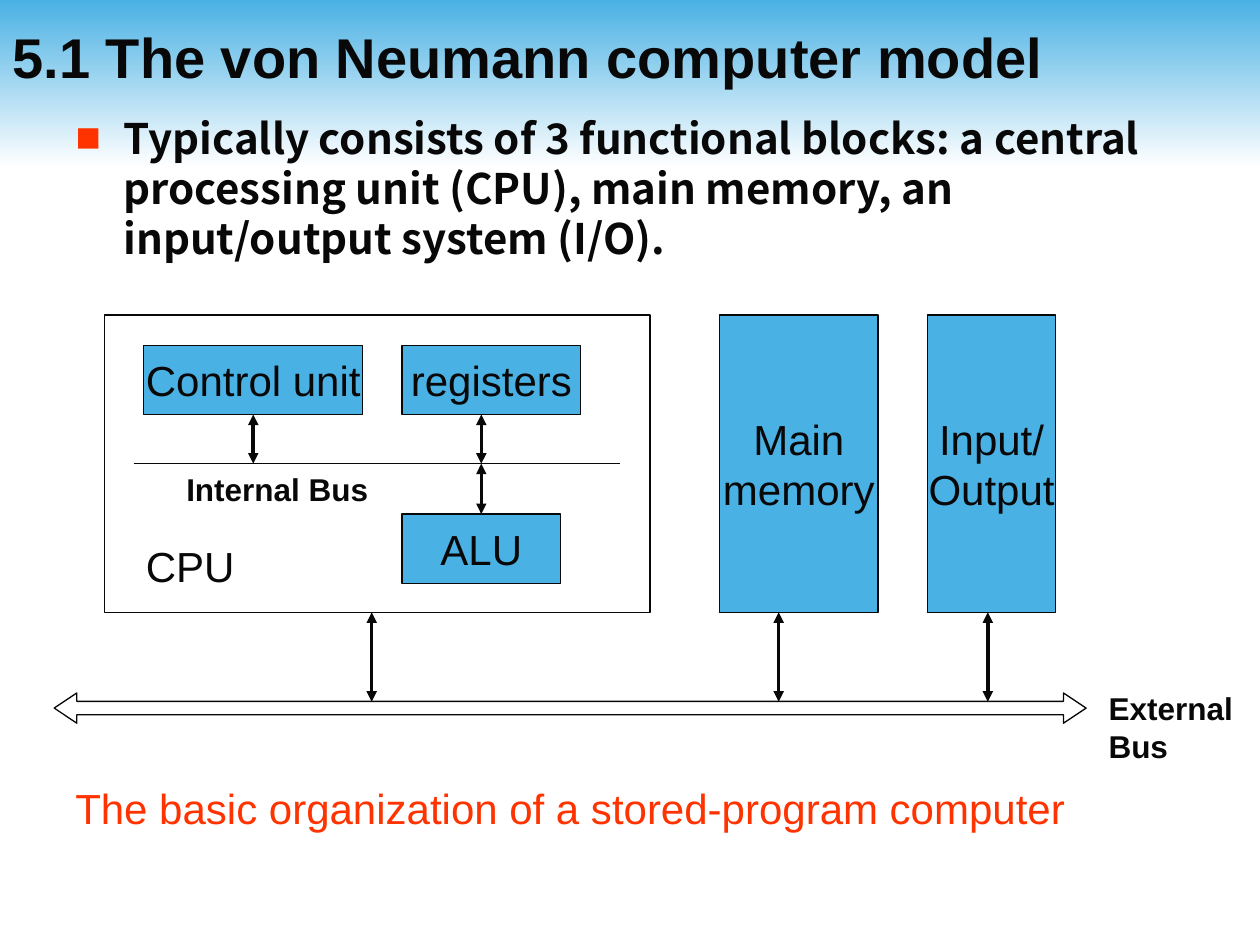
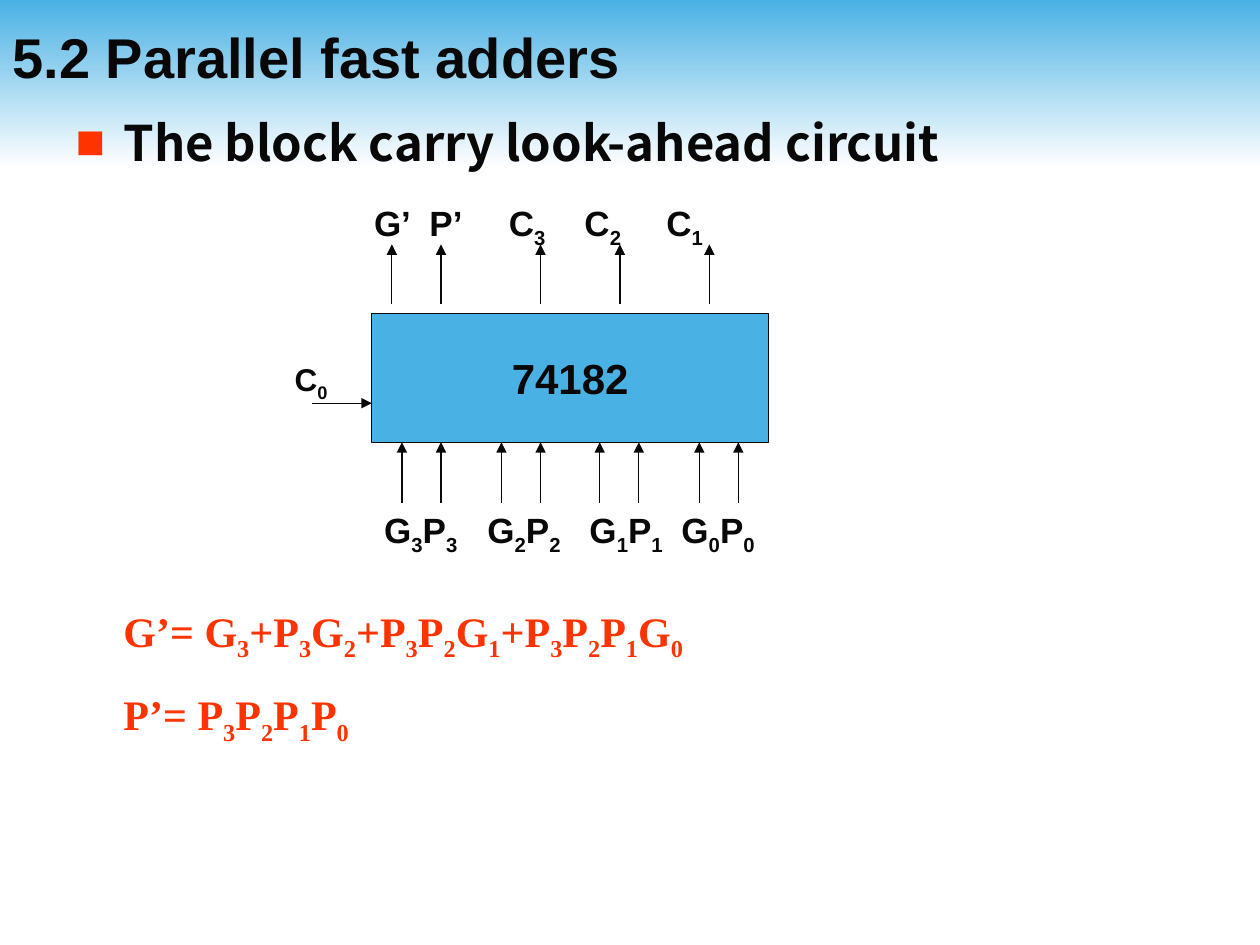
from lxml import etree
from pptx import Presentation
from pptx.dml.color import RGBColor
from pptx.enum import shapes, text
from pptx.oxml.ns import qn
from pptx.util import Inches, Pt

INK, BLUE, RED, WHITE = "080808", "4AB1E4", "FF3300", "FFFFFF"
BODY_FONT, EQUATION_FONT = "Noto Sans CJK JP", "Times New Roman"
LEFT, CENTER = text.PP_ALIGN.LEFT, text.PP_ALIGN.CENTER
SHAPE = shapes.MSO_SHAPE


def rgb(value):
    return RGBColor.from_string(value)


def child(parent, tag, **attrs):
    return etree.SubElement(parent, qn(tag), attrs)


def set_format(target, **values):
    for name, value in values.items():
        setattr(target, name, value)


def place(shape, x, y, w, h):
    set_format(shape, left=Inches(x), top=Inches(y), width=Inches(w), height=Inches(h))


def write(p, content, size, color=INK, bold=False, name="Arial"):
    """Fill a paragraph; the character after each underscore is a subscript."""
    first, *rest = content.split("_")
    pieces = [(first, False)]
    for part in rest:
        pieces += [(part[0], True), (part[1:], False)]
    for piece, lowered in pieces:
        if not piece:
            continue
        r = p.add_run()
        r.text = piece
        set_format(r.font, size=Pt(size), bold=bold, name=name)
        r.font.color.rgb = rgb(color)
        if lowered:
            r.font._element.set("baseline", "-25000")


def write_lines(tf, lines, size, align, **font):
    for i, line in enumerate(lines):
        p = tf.paragraphs[0] if i == 0 else tf.add_paragraph()
        p.alignment = align
        write(p, line, size, **font)


def add_label(s, box, content, size, align=LEFT, tabs=(), **font):
    sp = s.shapes.add_textbox(*map(Inches, box))
    tf = sp.text_frame
    tf.word_wrap = True
    if tabs:
        stops = child(tf.paragraphs[0]._p.get_or_add_pPr(), "a:tabLst")
        for stop in tabs:
            child(stops, "a:tab", pos=str(Inches(stop)), algn="l")
    write_lines(tf, content.split("\n"), size, align, **font)


def add_block(s, box, content="", fill=BLUE, kind=SHAPE.RECTANGLE, bold=False):
    sp = s.shapes.add_shape(kind, *map(Inches, box))
    sp.shadow.inherit = False
    if fill:
        sp.fill.solid()
        sp.fill.fore_color.rgb = rgb(fill)
    else:
        sp.fill.background()
    sp.line.color.rgb = rgb(INK)
    sp.line.width = Pt(0.75)
    if content:
        tf = sp.text_frame
        set_format(tf, word_wrap=False, vertical_anchor=text.MSO_ANCHOR.MIDDLE)
        write_lines(tf, content.split("\n"), 24, CENTER, bold=bold)
    return sp


def add_line(s, x1, y1, x2, y2, width=0.75, ends=()):
    c = s.shapes.add_connector(shapes.MSO_CONNECTOR.STRAIGHT,
                               *map(Inches, (x1, y1, x2, y2)))
    c.line.color.rgb = rgb(INK)
    c.line.width = Pt(width)
    for end in ends:
        child(c.line._ln, end, type="triangle")
    child(c._element.spPr, "a:effectLst")
    return c


def add_double_arrow(s, x, y1, y2):
    return add_line(s, x, y1, x, y2, 2, ("a:headEnd", "a:tailEnd"))


def add_arrow(s, x1, y1, x2, y2):
    add_line(s, x1, y1, x2, y2, ends=("a:tailEnd",))


def add_band_to_master(prs, s):
    """Draw the gradient band and move it behind everything on the master."""
    band = s.shapes.add_shape(SHAPE.RECTANGLE, 0, 0, prs.slide_width, Inches(1.33))
    band.shadow.inherit = False
    band.line.fill.background()
    band.fill.gradient()
    band.fill.gradient_angle = 270
    for stop, color, position in zip(band.fill.gradient_stops, (BLUE, WHITE), (0, 1)):
        stop.color.rgb = rgb(color)
        stop.position = position
    prs.slide_master.shapes._spTree.insert(2, band._element)


def add_content_slide(prs, title, point, size, title_width, body_width):
    """Add a slide with a title and one bulleted point; return it and its body."""
    s = prs.slides.add_slide(prs.slide_layouts[1])
    head, body = s.shapes.title, s.placeholders[1]
    place(head, 0, 0.05, title_width, 0.79)
    place(body, 0.5, 0.84, body_width, 6.08)
    head.text_frame.vertical_anchor = text.MSO_ANCHOR.MIDDLE
    for sp in (head, body):
        set_format(sp.text_frame, word_wrap=True, auto_size=text.MSO_AUTO_SIZE.NONE)
    write_lines(head.text_frame, [title], 32, LEFT, bold=True)
    p = body.text_frame.paragraphs[0]
    pPr = p._p.get_or_add_pPr()
    pPr.set("marL", str(Inches(0.38)))
    pPr.set("indent", str(-Inches(0.38)))
    child(child(pPr, "a:buClr"), "a:srgbClr", val=RED)
    child(pPr, "a:buFont", typeface="Arial")
    child(pPr, "a:buChar", char="■")
    set_format(p, line_spacing=1.0, space_before=Pt(0))
    write(p, point, size, bold=True, name=BODY_FONT)
    return s, body


def add_equation(body, content, space_before):
    p = body.text_frame.add_paragraph()
    pPr = p._p.get_or_add_pPr()
    pPr.set("marL", str(Inches(0.38)))
    pPr.set("indent", "0")
    child(pPr, "a:buNone")
    p.space_before = Pt(space_before)
    write(p, content, 24, RED, True, EQUATION_FONT)


def add_cpu(s, x, y, w, h):
    add_block(s, (x, y, w, h), fill=None)
    top, bus, unit_h = y + 0.24, y + 1.18, 0.55
    control = add_block(s, (x + 0.31, top, 1.74, unit_h), "Control unit")
    add_block(s, (x + 2.36, top, 1.42, unit_h), "registers")
    alu = add_block(s, (x + 2.36, bus + 0.4, 1.26, unit_h), "ALU")
    add_line(s, x + 0.23, bus, x + 4.09, bus)
    add_double_arrow(s, x + 1.18, top + unit_h, bus).begin_connect(control, 2)
    add_double_arrow(s, x + 2.99, top + unit_h, bus)
    add_double_arrow(s, x + 2.99, bus, bus + 0.4).end_connect(alu, 0)
    add_label(s, (x + 0.23, y + 1.74, 1.57, 0.5), "CPU", 24)
    add_label(s, (x + 0.55, bus, 1.81, 0.4), "Internal Bus", 18, bold=True)


def add_computer(s, x, y):
    """Draw the CPU, memory and I/O blocks joined by the external bus."""
    h = 2.36
    add_cpu(s, x, y, 4.33, h)
    add_block(s, (x + 4.88, y, 1.26, h), "Main\nmemory")
    add_block(s, (x + 6.53, y, 1.02, h), "Input/\nOutput")
    bus = add_block(s, (x - 0.4, y + 3, 8.19, 0.24), fill=None,
                    kind=SHAPE.LEFT_RIGHT_ARROW)
    bus.adjustments[0], bus.adjustments[1] = 0.44, 0.75
    for dx in (2.12, 5.35, 7.01):
        add_double_arrow(s, x + dx, y + h, y + 3.07)
    add_label(s, (x + 7.87, y + 2.92, 1.3, 0.7), "External\nBus", 18, bold=True)


def add_look_ahead_chip(s, x, y, w, h):
    """Draw the 74182 block with its carry, output and input pins."""
    add_block(s, (x, y, w, h), "74182", bold=True)
    for dx in (0.16, 0.55, 1.34, 1.97, 2.68):
        add_arrow(s, x + dx, y - 0.08, x + dx, y - 0.55)
    for pair in (0.24, 1.03, 1.81, 2.6):
        for dx in (pair, pair + 0.31):
            add_arrow(s, x + dx, y + h + 0.48, x + dx, y + h)
    add_arrow(s, x - 0.47, y + 0.71, x, y + 0.71)
    add_label(s, (x - 0.16, y - 0.94, 3.31, 0.48), "\tG’\tP’\tC_3\tC_2\tC_1", 20,
              tabs=(0.08, 0.52, 1.15, 1.75, 2.4), bold=True)
    add_label(s, (x - 0.16, y + h + 0.48, 3.5, 0.48),
              "\tG_3P_3\tG_2P_2\tG_1P_1\tG_0P_0", 20,
              tabs=(0.16, 0.98, 1.79, 2.52), bold=True)
    add_label(s, (x - 0.71, y + 0.32, 0.55, 0.44), "C_0", 18, bold=True)


def main():
    prs = Presentation()
    prs.slide_width, prs.slide_height = Inches(10), Inches(7.5)

    s, _ = add_content_slide(
        prs, "5.1 The von Neumann computer model",
        "Typically consists of 3 functional blocks: a central processing unit (CPU), "
        "main memory, an input/output system (I/O).", 24, 10, 9)
    add_band_to_master(prs, s)
    add_computer(s, 0.83, 2.5)
    add_label(s, (0.35, 6.16, 8.35, 0.5),
              "The basic organization of a stored-program computer", 24, CENTER, color=RED)

    s, body = add_content_slide(prs, "5.2 Parallel fast adders",
                                "The block carry look-ahead circuit", 28, 9.51, 9.5)
    add_equation(body, "G’= G_3+P_3G_2+P_3P_2G_1+P_3P_2P_1G_0", 248)
    add_equation(body, "P’= P_3P_2P_1P_0", 15)
    add_look_ahead_chip(s, 2.95, 2.49, 3.15, 1.02)

    prs.save("out.pptx")


if __name__ == "__main__":
    main()
